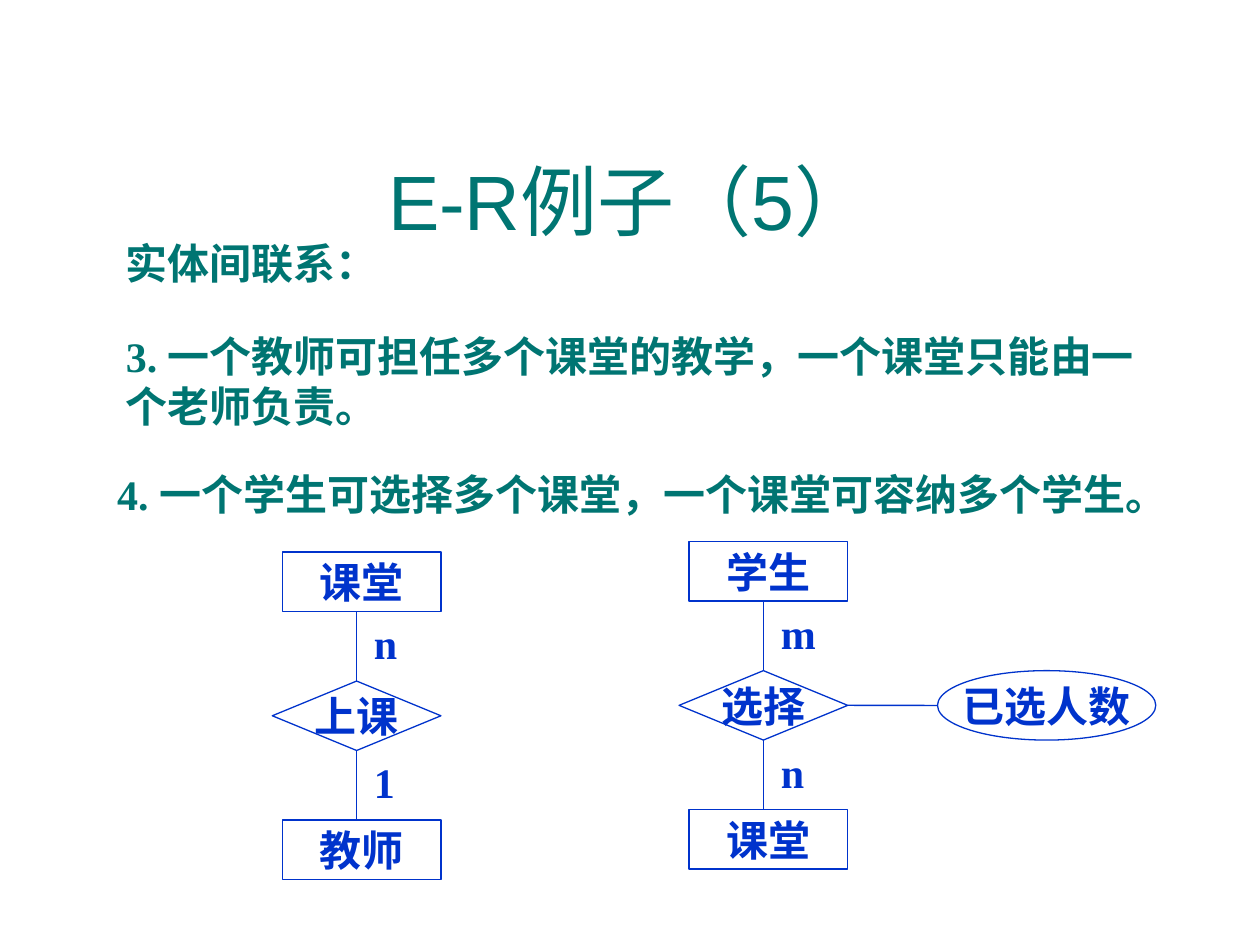
"""Build a slide of entity links drawn as two E-R diagrams."""
from dataclasses import dataclass

import lxml.etree
import pptx
import pptx.dml.color
import pptx.enum.shapes
import pptx.enum.text
import pptx.oxml.ns
import pptx.util

Cm = pptx.util.Cm
Pt = pptx.util.Pt
Kind = pptx.enum.shapes.MSO_SHAPE
Align = pptx.enum.text.PP_ALIGN
Anchor = pptx.enum.text.MSO_ANCHOR

TEAL = pptx.dml.color.RGBColor(0x00, 0x75, 0x72)
BLUE = pptx.dml.color.RGBColor(0x00, 0x33, 0xCC)

TITLE = {"name": "Arial", "size": Pt(44), "bold": False}
BODY = {"name": "Times New Roman", "size": Pt(24), "bold": True}

BOX_W, BOX_H = 3.2, 1.2
LINK_W, LINK_H = 3.4, 1.4
GAP = 1.4
INSET = 0.2
OVAL_X, OVAL_W = 18.9, 4.4


@dataclass
class Note:
    text: str
    x: float
    y: float
    w: float
    h: float


@dataclass
class Chain:
    x: float
    y: float
    top: str
    link: str
    end: str
    marks: tuple[str, str]


NOTES = (
    Note("实体间联系：", 2.29, 4.67, 21.4, 1.27),
    Note("3. 一个教师可担任多个课堂的教学，一个课堂只能由一个老师负责。", 2.29, 6.53, 21.4, 2.29),
    Note("4. 一个学生可选择多个课堂，一个课堂可容纳多个学生。", 2.11, 9.32, 21.8, 1.27),
)
LEFT = Chain(5.49, 11.13, "课堂", "上课", "教师", ("n", "1"))
RIGHT = Chain(13.69, 10.92, "学生", "选择", "课堂", ("m", "n"))


def write(shape, text: str, style: dict, color, align=Align.LEFT,
          anchor=Anchor.TOP, wrap: bool = True) -> None:
    """Fill a shape with one styled paragraph."""
    frame = shape.text_frame
    frame.word_wrap = wrap
    frame.vertical_anchor = anchor
    para = frame.paragraphs[0]
    para.alignment = align
    run = para.add_run()
    run.text = text
    for key, value in style.items():
        setattr(run.font, key, value)
    run.font.color.rgb = color


def label(slide, note: Note, color, style: dict = BODY, **place) -> None:
    """Add a text box."""
    box = slide.shapes.add_textbox(Cm(note.x), Cm(note.y), Cm(note.w), Cm(note.h))
    write(box, note.text, style, color, **place)


def node(slide, kind, note: Note):
    """Add an outlined shape with centred text."""
    shape = slide.shapes.add_shape(kind, Cm(note.x), Cm(note.y), Cm(note.w), Cm(note.h))
    shape.shadow.inherit = False
    shape.fill.background()
    shape.line.color.rgb = BLUE
    shape.line.width = Pt(0.75)
    write(shape, note.text, BODY, BLUE, Align.CENTER, Anchor.MIDDLE, False)
    return shape


def join(slide, link, site: int, x: float, y: float) -> None:
    """Run a line from one corner of a diamond to a point."""
    line = slide.shapes.add_connector(
        pptx.enum.shapes.MSO_CONNECTOR.STRAIGHT, Cm(x), Cm(y), Cm(x), Cm(y))
    line.begin_connect(link, site)
    line.line.color.rgb = BLUE
    line.line.width = Pt(0.75)
    props = line._element.spPr
    lxml.etree.SubElement(props, pptx.oxml.ns.qn("a:effectLst"))


def draw(slide, chain: Chain):
    """Draw two entities and the link between them."""
    mid = chain.x + LINK_W / 2
    head = chain.y + BOX_H
    link_y = head + GAP
    foot = link_y + LINK_H
    end_y = foot + GAP
    for text, y in ((chain.top, chain.y), (chain.end, end_y)):
        node(slide, Kind.RECTANGLE, Note(text, chain.x + INSET, y, BOX_W, BOX_H))
    link = node(slide, Kind.DIAMOND, Note(chain.link, chain.x, link_y, LINK_W, LINK_H))
    for site, y in ((0, head), (2, end_y)):
        join(slide, link, site, mid, y)
    for mark, y in zip(chain.marks, (head, foot)):
        label(slide, Note(mark, mid + 0.1, y, 1.3, 1.27), BLUE)
    return link


def main() -> None:
    """Build and save the slide."""
    deck = pptx.Presentation()
    deck.slide_width, deck.slide_height = Cm(25.4), Cm(19.05)
    slide = deck.slides.add_slide(deck.slide_layouts[6])
    label(slide, Note("E-R例子（5）", 0.84, 1.9, 23.72, 3.18), TEAL, TITLE,
          align=Align.CENTER, anchor=Anchor.BOTTOM)
    for note in NOTES:
        label(slide, note, TEAL)
    draw(slide, LEFT)
    link = draw(slide, RIGHT)
    oval_y = RIGHT.y + BOX_H + GAP
    node(slide, Kind.OVAL, Note("已选人数", OVAL_X, oval_y, OVAL_W, LINK_H))
    join(slide, link, 3, OVAL_X, oval_y + LINK_H / 2)
    deck.save("out.pptx")


if __name__ == "__main__":
    main()
